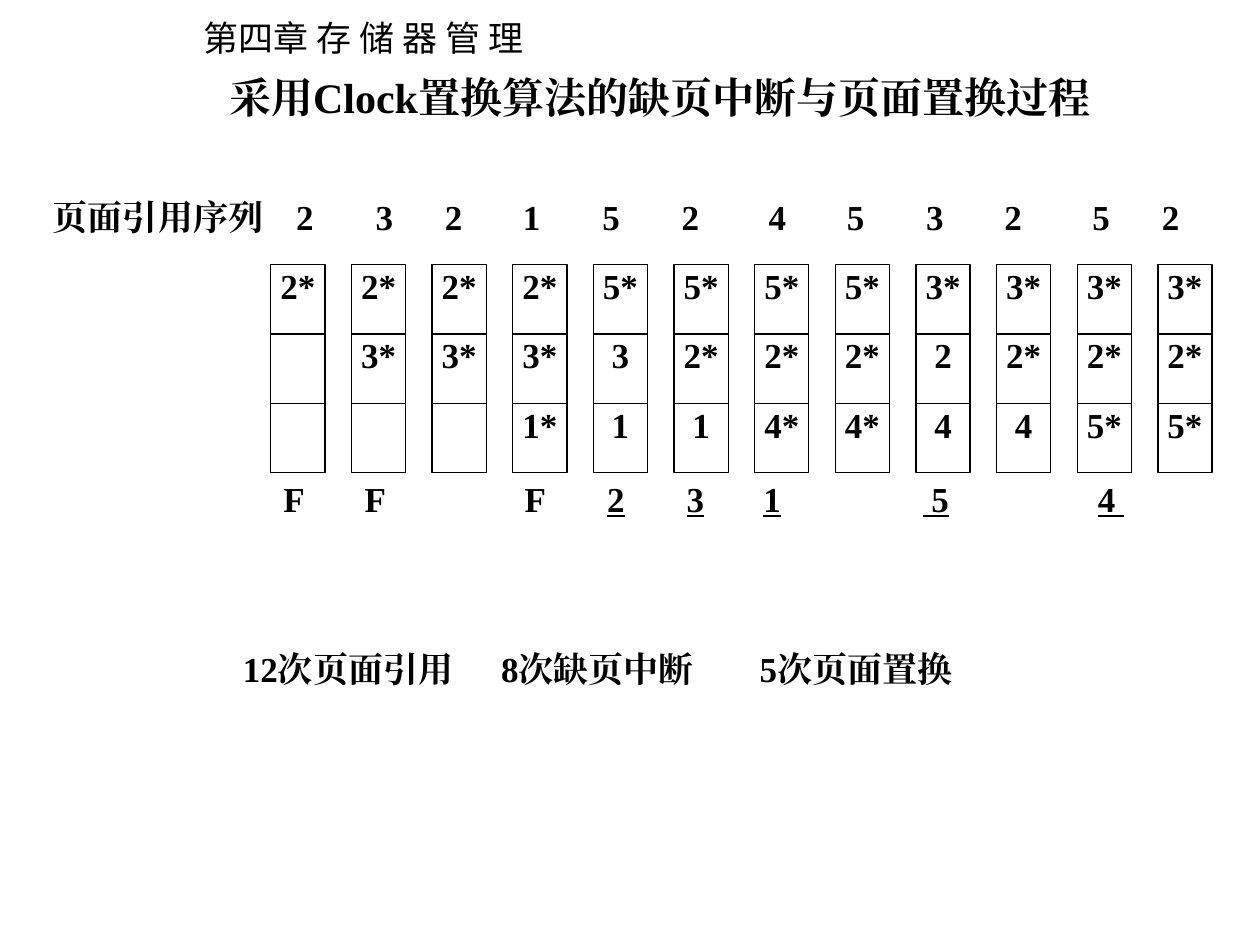
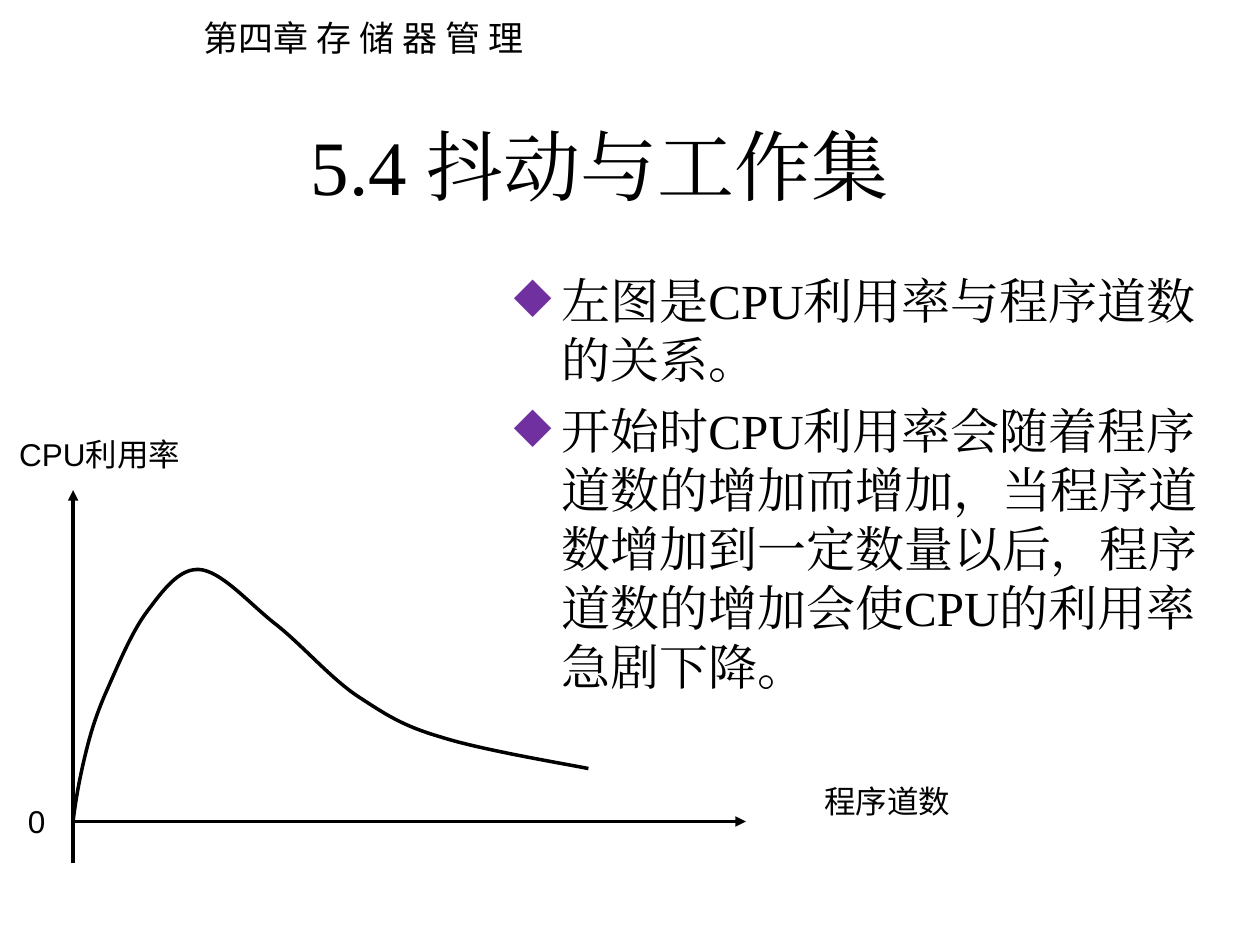
from dataclasses import dataclass

from lxml import etree
from pptx import Presentation
from pptx.dml.color import RGBColor
from pptx.enum.shapes import MSO_CONNECTOR, MSO_SHAPE
from pptx.enum.text import MSO_ANCHOR, PP_ALIGN
from pptx.oxml.ns import qn
from pptx.util import Inches, Pt


@dataclass(frozen=True)
class Theme:
    ink: RGBColor = RGBColor(0, 0, 0)
    bullet: str = "7030A0"
    serif: str = "Times New Roman"
    sans: str = "Arial"
    chinese: str = "Noto Sans CJK SC"
    heading_size: int = 44
    body_size: int = 28
    title_size: int = 24
    text_size: int = 20
    label_size: int = 18
    frame_line: float = 0.75
    curve_line: float = 2


THEME = Theme()
INSETS = (0.1, 0.05)

REFERENCES = "232152453252"
REFERENCE_TABS = (2.0, 2.63, 3.18, 3.8, 4.43, 5.06, 5.75, 6.37, 7.0, 7.62, 8.32, 8.87)
FRAME_STATES = (
    ("2*", "", ""), ("2*", "3*", ""), ("2*", "3*", ""), ("2*", "3*", "1*"),
    ("5*", "3", "1"), ("5*", "2*", "1"), ("5*", "2*", "4*"), ("5*", "2*", "4*"),
    ("3*", "2", "4"), ("3*", "2*", "4"), ("3*", "2*", "5*"), ("3*", "2*", "5*"),
)
FAULTS = ("F", "F", "F", "2", "3", "1", " 5", "4 ")
FAULT_TABS = (0.73, 2.0, 2.64, 3.27, 3.88, 5.18, 6.57)

BULLETS = (
    "左图是CPU利用率与程序道数的关系。",
    "开始时CPU利用率会随着程序道数的增加而增加，当程序道数增加到一定数量以后，"
    "程序道数的增加会使CPU的利用率急剧下降。",
)
ORIGIN = (0.58, 6.52)
CURVE_CONTROLS = (
    (0.6, 6.35), (0.63, 6.19), (0.67, 6.02),
    (0.71, 5.85), (0.75, 5.71), (0.83, 5.52),
    (0.92, 5.32), (1.04, 5.02), (1.17, 4.85),
    (1.29, 4.69), (1.42, 4.51), (1.58, 4.52),
    (1.75, 4.53), (1.96, 4.77), (2.17, 4.94),
    (2.38, 5.1), (2.61, 5.37), (2.83, 5.52),
    (3.06, 5.67), (3.19, 5.76), (3.5, 5.85),
    (3.81, 5.95), (4.47, 6.06), (4.67, 6.1),
)


def add_tabs(paragraph, positions, align):
    tab_list = etree.SubElement(paragraph._p.get_or_add_pPr(), qn("a:tabLst"))
    for position in positions:
        etree.SubElement(tab_list, qn("a:tab"), pos=str(Inches(position)), algn=align)


def add_bullet(paragraph):
    properties = paragraph._p.get_or_add_pPr()
    properties.set("marL", str(Inches(0.38)))
    properties.set("indent", str(-Inches(0.38)))
    colour = etree.SubElement(properties, qn("a:buClr"))
    etree.SubElement(colour, qn("a:srgbClr"), val=THEME.bullet)
    etree.SubElement(properties, qn("a:buChar"), char="◆")


def write_text(shape, paragraphs, size=THEME.text_size, font=THEME.serif, bold=False,
               align=PP_ALIGN.LEFT, anchor=MSO_ANCHOR.TOP, insets=INSETS, wrap=True,
               tabs=(), tab_align="ctr", bullets=False, space_before=0, line_spacing=None):
    """Fill a shape; a paragraph is a string or a list of (text, underlined) runs."""
    frame = shape.text_frame
    frame.word_wrap = wrap
    frame.vertical_anchor = anchor
    frame.margin_left = frame.margin_right = Inches(insets[0])
    frame.margin_top = frame.margin_bottom = Inches(insets[1])
    for index, content in enumerate(paragraphs):
        paragraph = frame.add_paragraph() if index else frame.paragraphs[0]
        if bullets:
            add_bullet(paragraph)
        if tabs:
            add_tabs(paragraph, tabs, tab_align)
        paragraph.alignment = align
        paragraph.line_spacing = line_spacing
        if index:
            paragraph.space_before = Pt(space_before)
        runs = [(content, False)] if isinstance(content, str) else content
        for words, underlined in runs:
            run = paragraph.add_run()
            run.text = words
            run.font.size = Pt(size)
            run.font.name = font
            run.font.bold = bold
            run.font.underline = underlined
            run.font.color.rgb = THEME.ink
            etree.SubElement(run._r.get_or_add_rPr(), qn("a:ea"), typeface=font)


def add_text(shapes, box, *paragraphs, **text_format):
    write_text(shapes.add_textbox(*map(Inches, box)), paragraphs, **text_format)


def add_frame_cell(shapes, box, page):
    cell = shapes.add_shape(MSO_SHAPE.RECTANGLE, *map(Inches, box))
    cell.shadow.inherit = False
    cell.fill.background()
    cell.line.color.rgb = THEME.ink
    cell.line.width = Pt(THEME.frame_line)
    if page:
        write_text(cell, [page], bold=True, align=PP_ALIGN.CENTER, insets=(0, 0))


def add_frame_grid(slide):
    grid = slide.shapes.add_group_shape()
    for column, pages in enumerate(FRAME_STATES):
        for row, page in enumerate(pages):
            box = (2.15 + 0.64 * column, 2.1 + 0.55 * row, 0.43, 0.55)
            add_frame_cell(grid.shapes, box, page)


def add_axis(shapes, start, end):
    axis = shapes.add_connector(MSO_CONNECTOR.STRAIGHT, *map(Inches, start + end))
    axis.line.color.rgb = THEME.ink
    axis.line.width = Pt(THEME.curve_line)
    etree.SubElement(axis.line._get_or_add_ln(), qn("a:tailEnd"), type="triangle")
    etree.SubElement(axis._element.spPr, qn("a:effectLst"))


def add_curve(shapes, start, controls):
    """Draw a Bézier curve: each three control points make one segment."""
    builder = shapes.build_freeform(*map(Inches, start))
    builder.add_line_segments([tuple(map(Inches, point)) for point in controls], close=False)
    curve = builder.convert_to_shape()
    segments = list(curve._element.iter(qn("a:lnTo")))
    for first, second, last in zip(segments[::3], segments[1::3], segments[2::3]):
        bezier = etree.Element(qn("a:cubicBezTo"))
        first.addprevious(bezier)
        for segment in (first, second, last):
            bezier.append(segment[0])
            segment.getparent().remove(segment)
    curve.shadow.inherit = False
    curve.fill.background()
    curve.line.color.rgb = THEME.ink
    curve.line.width = Pt(THEME.curve_line)


def add_chapter_slide(presentation):
    slide = presentation.slides.add_slide(presentation.slide_layouts[6])
    add_text(slide.shapes, (1.52, 0.08, 2.8, 0.44), "第四章 存 储 器 管 理",
             font=THEME.chinese, wrap=False)
    return slide


def build_clock_slide(presentation):
    slide = add_chapter_slide(presentation)
    shapes = slide.shapes
    add_text(shapes, (0.97, 0.52, 8.53, 0.82), "采用Clock置换算法的缺页中断与页面置换过程",
             size=THEME.title_size, bold=True, align=PP_ALIGN.CENTER)
    add_text(shapes, (0.42, 1.55, 9.17, 0.55), "\t".join(["页面引用序列", *REFERENCES]),
             bold=True, insets=(0, 0), tabs=REFERENCE_TABS)
    add_frame_grid(slide)
    fault_runs = [(FAULTS[0], False)]
    for fault in FAULTS[1:]:
        fault_runs += [("\t", False), (fault, fault != "F")]
    add_text(shapes, (2.15, 3.74, 7.46, 0.82), fault_runs, bold=True, tabs=FAULT_TABS)
    add_text(shapes, (1.83, 5.09, 7.46, 0.82), "12次页面引用\t8次缺页中断\t5次页面置换",
             bold=True, tabs=(2.05, 4.1), tab_align="l")


def build_thrashing_slide(presentation):
    slide = add_chapter_slide(presentation)
    add_text(slide.shapes, (0.51, 0.68, 8.5, 1.25), "5.4 抖动与工作集",
             size=THEME.heading_size, align=PP_ALIGN.CENTER, anchor=MSO_ANCHOR.MIDDLE)
    add_text(slide.shapes, (3.98, 2.1, 5.83, 3.58), *BULLETS,
             size=THEME.body_size, bullets=True, space_before=7)
    graph = slide.shapes.add_group_shape().shapes
    add_axis(graph, ORIGIN, (5.92, 6.52))
    add_axis(graph, (0.58, 6.85), (0.58, 3.89))
    add_curve(graph, ORIGIN, CURVE_CONTROLS)
    labels = (("0", 0.08, 6.35, 0.42), ("CPU利用率", 0, 3.44, 1.58), ("程序道数", 6.25, 6.19, 1.58))
    for label, left, top, width in labels:
        add_text(graph, (left, top, width, 0.33), label, size=THEME.label_size, font=THEME.sans,
                 align=PP_ALIGN.CENTER, anchor=MSO_ANCHOR.MIDDLE, insets=(0, 0), wrap=False)


def main():
    presentation = Presentation()
    presentation.slide_width = Inches(10)
    presentation.slide_height = Inches(7.5)
    build_clock_slide(presentation)
    build_thrashing_slide(presentation)
    presentation.save("out.pptx")


if __name__ == "__main__":
    main()
